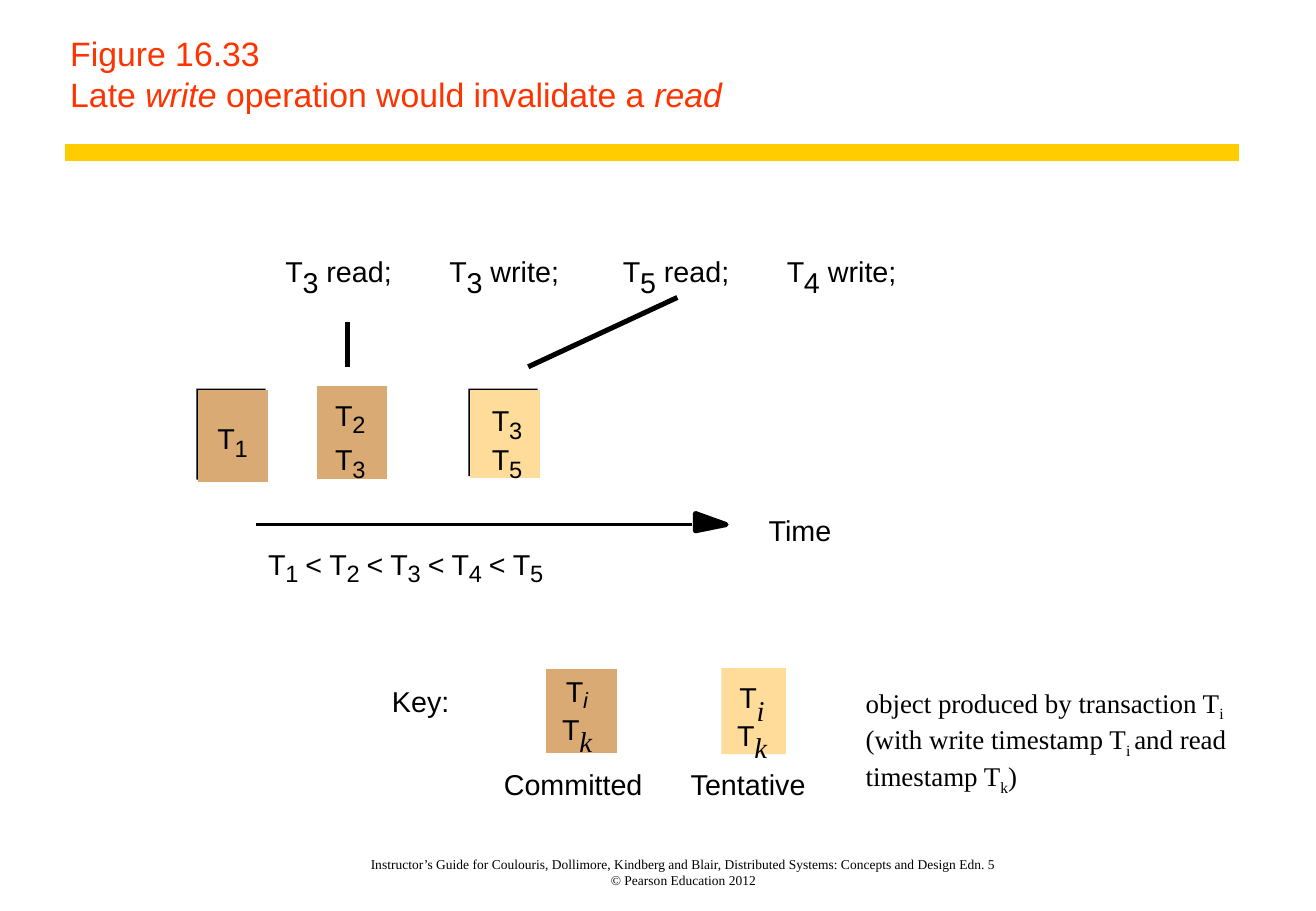
from lxml.etree import SubElement
from pptx import Presentation
from pptx.dml.color import RGBColor
from pptx.enum.shapes import MSO_CONNECTOR, MSO_SHAPE
from pptx.enum.text import MSO_ANCHOR, MSO_AUTO_SIZE, PP_ALIGN
from pptx.oxml.ns import qn
from pptx.util import Cm, Pt

COLORS = {"black": "000000", "title": "FF3300", "rule": "FFCC00",
          "committed": "D9AA73", "tentative": "FFDC99"}
SANS, SERIF = "Arial", "Times New Roman"
ITALIC, SUB = {"italic": True}, {"sub": True}

TITLE = [("Figure 16.33\nLate ", {}), ("write", ITALIC),
         (" operation would invalidate a ", {}), ("read", ITALIC)]
FOOTER = ("Instructor’s Guide for Coulouris, Dollimore, Kindberg and Blair, "
          "Distributed Systems: Concepts and Design Edn. 5\n© Pearson Education 2012")
MEANING = [("object produced by transaction T", {}), ("i", SUB),
           (" (with write timestamp T", {}), ("i ", SUB),
           ("and read timestamp T", {}), ("k", SUB), (")", {})]

OPERATIONS = [(5.97, "3", "read;", 1.45), (9.4, "3", "write;", 1.55),
              (13.03, "5", "read;", 1.45), (16.46, "4", "write;", 1.55)]
OPERATION_TOP = 5.31
TILES = [(4.11, 8.13, 1.45, 1.9, "black", 0),
         (4.19, 8.2, 1.37, 1.83, "committed", 3),
         (6.68, 8.13, 1.37, 1.83, "committed", 3),
         (9.8, 8.13, 1.45, 1.83, "black", 0),
         (9.88, 8.2, 1.37, 1.75, "tentative", 3),
         (11.48, 14.05, 1.37, 1.65, "committed", 3),
         (15.09, 13.97, 1.35, 1.8, "tentative", 0)]
VERSIONS = [("1", 4.55, 8.81), ("2", 7.01, 8.31), ("3", 7.01, 9.25),
            ("3", 10.29, 8.43), ("5", 10.29, 9.25)]
KEY_VERSIONS = [("i", 11.84, 14.1, 0.1, 13, SANS), ("k", 11.76, 14.88, 0.28, 17, SERIF),
                ("i", 15.47, 14.22, 0.18, 17, SERIF), ("k", 15.42, 15.01, 0.28, 17, SERIF)]
ORDER = "12345"
ORDER_LEFT, ORDER_TOP, ORDER_STEP = 5.61, 11.43, 1.28
CAPTIONS = [("Time", 16.08, 10.72, 1.5), ("Key:", 8.2, 14.3, 1.4),
            ("Tentative", 14.45, 16.03, 2.7), ("Committed", 10.54, 16.03, 3.2)]
LINES = [(1.37, 3.18, 25.91, 3.18, "rule", 10),
         (7.26, 6.73, 7.26, 7.67, "black", 3),
         (11.05, 7.67, 14.17, 6.22, "black", 3),
         (5.36, 10.97, 14.48, 10.97, "black", 2)]
ARROWHEAD = [(14.55, 10.97), (14.55, 10.74), (15.19, 10.97), (14.55, 11.1)]

deck = Presentation()
deck.slide_width, deck.slide_height = Cm(27.53), Cm(19.05)
page = deck.slides.add_slide(deck.slide_layouts[6])


def color(name):
    return RGBColor.from_string(COLORS[name])


def add_text(content, left, top, width, height=None, size=17, font=SANS, tint="black",
             italic=False, wrap=False, align=PP_ALIGN.LEFT, anchor=MSO_ANCHOR.TOP,
             insets=(0, 0, 0, 0)):
    """Add a text box from a string or a list of (text, format) spans."""
    height = height or round(size * 0.042, 2)
    frame = page.shapes.add_textbox(Cm(left), Cm(top), Cm(width), Cm(height)).text_frame
    frame.word_wrap = wrap
    frame.auto_size = MSO_AUTO_SIZE.NONE if wrap else MSO_AUTO_SIZE.SHAPE_TO_FIT_TEXT
    frame.vertical_anchor = anchor
    (frame.margin_left, frame.margin_top,
     frame.margin_right, frame.margin_bottom) = [Cm(inset) for inset in insets]
    para = frame.paragraphs[0]
    para.alignment = align
    for text, style in [(content, {})] if isinstance(content, str) else content:
        for number, line in enumerate(text.split("\n")):
            if number:
                para.add_line_break()
            span = para.add_run()
            span.text = line
            span.font.name, span.font.size = font, Pt(size)
            span.font.italic = style.get("italic", italic)
            span.font.color.rgb = color(tint)
            if style.get("sub"):
                span.font._element.set("baseline", "-25000")


def add_version(subscript, left, top, drop=0.26, width=0.28, size=14, font=SANS, italic=False):
    """Add a T with its lowered subscript."""
    add_text("T", left, top, 0.38)
    add_text(subscript, left + 0.36, top + drop, width, size=size, font=font, italic=italic)


def paint(shape, fill, weight, join="miter"):
    """Give a shape one colour for its fill and its line."""
    shape.shadow.inherit = False
    shape.fill.solid()
    shape.fill.fore_color.rgb = color(fill)
    if weight:
        shape.line.color.rgb = color(fill)
        shape.line.width = Pt(weight)
        SubElement(shape.line._ln, qn(f"a:{join}"))
    else:
        shape.line.fill.background()


add_text(FOOTER, 5.97, 17.58, 16.76, 0.99, size=8, font=SERIF, wrap=True,
         align=PP_ALIGN.CENTER, anchor=MSO_ANCHOR.BOTTOM, insets=(0, 0, 0.1, 0))
add_text(TITLE, 1.22, 0, 24.69, 2.54, size=20, tint="title", wrap=True,
         anchor=MSO_ANCHOR.BOTTOM, insets=(0.25, 0.15, 0.36, 0.15))

for x1, y1, x2, y2, tint, weight in LINES:
    connector = page.shapes.add_connector(MSO_CONNECTOR.STRAIGHT, Cm(x1), Cm(y1), Cm(x2), Cm(y2))
    connector.line.color.rgb = color(tint)
    connector.line.width = Pt(weight)
    SubElement(connector._element.spPr, qn("a:effectLst"))

corners = [(Cm(x), Cm(y)) for x, y in ARROWHEAD]
outline = page.shapes.build_freeform(*corners[0])
outline.add_line_segments(corners[1:], close=True)
paint(outline.convert_to_shape(), "black", 3, join="round")

for left, top, width, height, fill, weight in TILES:
    paint(page.shapes.add_shape(MSO_SHAPE.RECTANGLE, Cm(left), Cm(top), Cm(width), Cm(height)),
          fill, weight)

for left, subscript, action, width in OPERATIONS:
    add_version(subscript, left, OPERATION_TOP, drop=0.23, width=0.51, size=17)
    add_text(action, left + 0.86, OPERATION_TOP, width)

for subscript, left, top in VERSIONS:
    add_version(subscript, left, top)

for subscript, left, top, width, size, font in KEY_VERSIONS:
    add_version(subscript, left, top, width=width, size=size, font=font, italic=True)

for index, subscript in enumerate(ORDER):
    left = ORDER_LEFT + index * ORDER_STEP
    add_version(subscript, left, ORDER_TOP)
    if index:
        add_text("<", left - 0.5, ORDER_TOP, 0.35)

for caption, left, top, width in CAPTIONS:
    add_text(caption, left, top, width)

add_text(MEANING, 18.01, 14.35, 8.08, 2.64, size=16, font=SERIF, wrap=True,
         insets=(0.1, 0, 0.1, 0))

deck.save("out.pptx")
